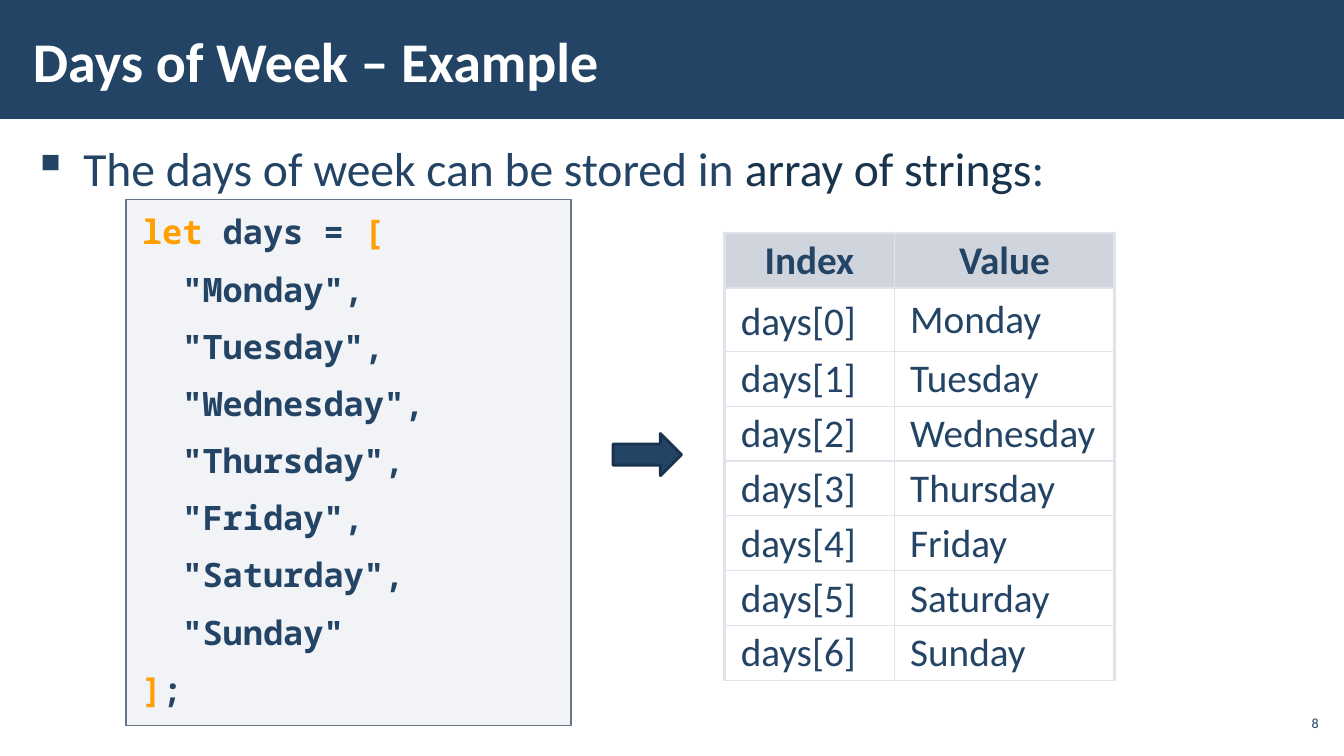
from lxml.etree import Element, SubElement
from pptx import Presentation
from pptx.dml.color import RGBColor
from pptx.enum.shapes import MSO_SHAPE
from pptx.enum.text import MSO_ANCHOR, PP_ALIGN
from pptx.oxml.ns import qn
from pptx.util import Pt

NAVY = RGBColor(0x23, 0x44, 0x65)
DARK = RGBColor(0x1A, 0x33, 0x4C)
ORANGE = RGBColor(0xFF, 0xA0, 0x00)
WHITE = RGBColor(0xFF, 0xFF, 0xFF)
CODE_FILL = RGBColor(0xAD, 0xB4, 0xC3)
CODE_LINE = RGBColor(0x67, 0x74, 0x8E)
HEAD_FILL = RGBColor(0xA3, 0xAB, 0xBC)
BORDER = RGBColor(0xE0, 0xE3, 0xE9)

DAYS = ["Monday", "Tuesday", "Wednesday", "Thursday", "Friday", "Saturday", "Sunday"]
TITLE = {"name": "Calibri", "size": Pt(40), "bold": True}
BODY = {"name": "Calibri", "size": Pt(34), "bold": False}
CELL = {"name": "Calibri", "size": Pt(28), "bold": False}
HEAD = {**CELL, "bold": True}
NUMBER = {"name": "Calibri", "size": Pt(10), "bold": False}
CODE = {"name": "Noto Sans Mono", "size": Pt(24), "bold": True}


def set_all(target, values):
    """Set every attribute named in a dict."""
    for name, value in values.items():
        setattr(target, name, value)


def set_frame(tf, side, edge, anchor=MSO_ANCHOR.TOP):
    """Give a text frame its insets, anchor and wrapping."""
    set_all(tf, {"margin_left": Pt(side), "margin_right": Pt(side),
                 "margin_top": Pt(edge), "margin_bottom": Pt(edge),
                 "vertical_anchor": anchor, "word_wrap": True})


def write(p, runs, font, **paragraph):
    """Fill a paragraph with (text, colour) runs."""
    set_all(p, {"alignment": PP_ALIGN.LEFT, **paragraph})
    for text, color in runs:
        r = p.add_run()
        r.text = text
        set_all(r.font, font)
        r.font.color.rgb = color


def indent(p, left, first=0):
    """Set the left and first-line indents of a paragraph."""
    pPr = p._p.get_or_add_pPr()
    pPr.set("marL", str(Pt(left)))
    pPr.set("indent", str(Pt(first)))
    return pPr


def add_alpha(element, percent):
    """Make the first colour in an element translucent."""
    color = next(element.iter(qn("a:srgbClr")))
    SubElement(color, qn("a:alpha"), val=str(percent * 1000))


def add_box(s, kind, x, y, w, h, fill, line=None, width=1):
    """Add a flat preset shape."""
    sp = s.shapes.add_shape(kind, Pt(x), Pt(y), Pt(w), Pt(h))
    sp.shadow.inherit = False
    sp.fill.solid()
    sp.fill.fore_color.rgb = fill
    if line is None:
        sp.line.fill.background()
    else:
        sp.line.color.rgb = line
        sp.line.width = Pt(width)
    return sp


def add_header(s, x, y, w, h):
    """Place the title on its band."""
    band = add_box(s, MSO_SHAPE.RECTANGLE, x, y, w, h, NAVY)
    title = s.shapes.title
    title.element.addprevious(band.element)
    set_all(title, {"left": Pt(x + 15), "top": Pt(y + 9.5),
                    "width": Pt(749), "height": Pt(70)})
    set_frame(title.text_frame, 8.5, 3, MSO_ANCHOR.MIDDLE)
    write(title.text_frame.paragraphs[0], [("Days of Week – Example", WHITE)], TITLE)


def add_body(s, x, y, w, h):
    """Place the bulleted statement."""
    tf = s.shapes.add_textbox(Pt(x), Pt(y), Pt(w), Pt(h)).text_frame
    set_frame(tf, 8.5, 3)
    p = tf.paragraphs[0]
    runs = [("The days of week can be stored in ", NAVY), ("array of strings", DARK), (":", NAVY)]
    write(p, runs, BODY, line_spacing=1.05, space_before=Pt(6), space_after=Pt(6))
    SubElement(indent(p, 36, -36), qn("a:buChar"), char="▪")


def add_code(s, x, y, w, h):
    """Place the code panel, with its strings indented by two characters."""
    sp = add_box(s, MSO_SHAPE.RECTANGLE, x, y, w, h, CODE_FILL, CODE_LINE)
    add_alpha(sp.element, 15)
    tf = sp.text_frame
    set_frame(tf, 11.5, 8.5)
    strings = [f'"{day}",' for day in DAYS[:-1]] + [f'"{DAYS[-1]}"']
    lines = [[("let ", ORANGE), ("days = ", NAVY), ("[", ORANGE)],
             *[[(text, NAVY)] for text in strings],
             [("]", ORANGE), (";", NAVY)]]
    for i, runs in enumerate(lines):
        p = tf.add_paragraph() if i else tf.paragraphs[0]
        write(p, runs, CODE, space_before=Pt(6), space_after=Pt(6))
        indent(p, 28.8 if 0 < i < len(lines) - 1 else 0)


def set_borders(cell, widths):
    """Draw the left, right, top and bottom borders of a cell."""
    tcPr = cell._tc.get_or_add_tcPr()
    for i, (side, width) in enumerate(zip("LRTB", widths)):
        ln = Element(qn(f"a:ln{side}"), w=str(Pt(width)))
        fill = SubElement(ln, qn("a:solidFill"))
        SubElement(fill, qn("a:srgbClr"), val=str(BORDER))
        tcPr.insert(i, ln)


def add_days_table(s, x, y, w, h):
    """Place the table of indexes and values."""
    rows = [("Index", "Value")] + [(f"days[{i}]", day) for i, day in enumerate(DAYS)]
    frame = s.shapes.add_table(len(rows), 2, Pt(x), Pt(y), Pt(w), Pt(h))
    table = frame.table
    set_all(table, {"first_row": False, "horz_banding": False})
    for column, width in zip(table.columns, (121, w - 121)):
        column.width = Pt(width)
    first_height = 45.2
    for i, row in enumerate(rows):
        table.rows[i].height = Pt(first_height if i == 1 else (h - first_height) / (len(rows) - 1))
        for j, text in enumerate(row):
            cell = table.cell(i, j)
            set_all(cell, {"margin_left": Pt(11.5), "margin_right": Pt(11.5),
                           "margin_top": Pt(3.6), "margin_bottom": Pt(3.6),
                           "vertical_anchor": MSO_ANCHOR.MIDDLE})
            if i == 0:
                cell.fill.solid()
                cell.fill.fore_color.rgb = HEAD_FILL
                add_alpha(cell._tc, 50)
            else:
                cell.fill.background()
            set_borders(cell, (2.25 if j == 0 else 1, 2.25 if j == 1 else 1,
                               2.25 if i < 2 else 1, 2.25 if i == 0 else 1))
            write(cell.text_frame.paragraphs[0], [(text, NAVY)], CELL if i else HEAD,
                  alignment=PP_ALIGN.LEFT if i else PP_ALIGN.CENTER,
                  line_spacing=Pt(38) if (i, j) == (1, 0) else 0.95)


def add_number(s, x, y, w, h):
    """Place the slide number."""
    tf = s.shapes.add_textbox(Pt(x), Pt(y), Pt(w), Pt(h)).text_frame
    set_frame(tf, 3, 3, MSO_ANCHOR.MIDDLE)
    write(tf.paragraphs[0], [("8", NAVY)], NUMBER, alignment=PP_ALIGN.RIGHT)


def main():
    """Build and save the slide."""
    prs = Presentation()
    set_all(prs, {"slide_width": Pt(960), "slide_height": Pt(540)})
    s = prs.slides.add_slide(prs.slide_layouts[5])
    add_header(s, 0, -1.5, 960, 86.5)
    add_body(s, 15, 94.5, 930, 408)
    add_number(s, 911, 504, 34, 24.5)
    add_code(s, 90, 142.5, 318, 376)
    add_box(s, MSO_SHAPE.RIGHT_ARROW, 437.8, 309.6, 49, 30.2, NAVY, DARK, 2)
    add_days_table(s, 517.7, 166.5, 278.6, 319.5)
    prs.save("out.pptx")


if __name__ == "__main__":
    main()
